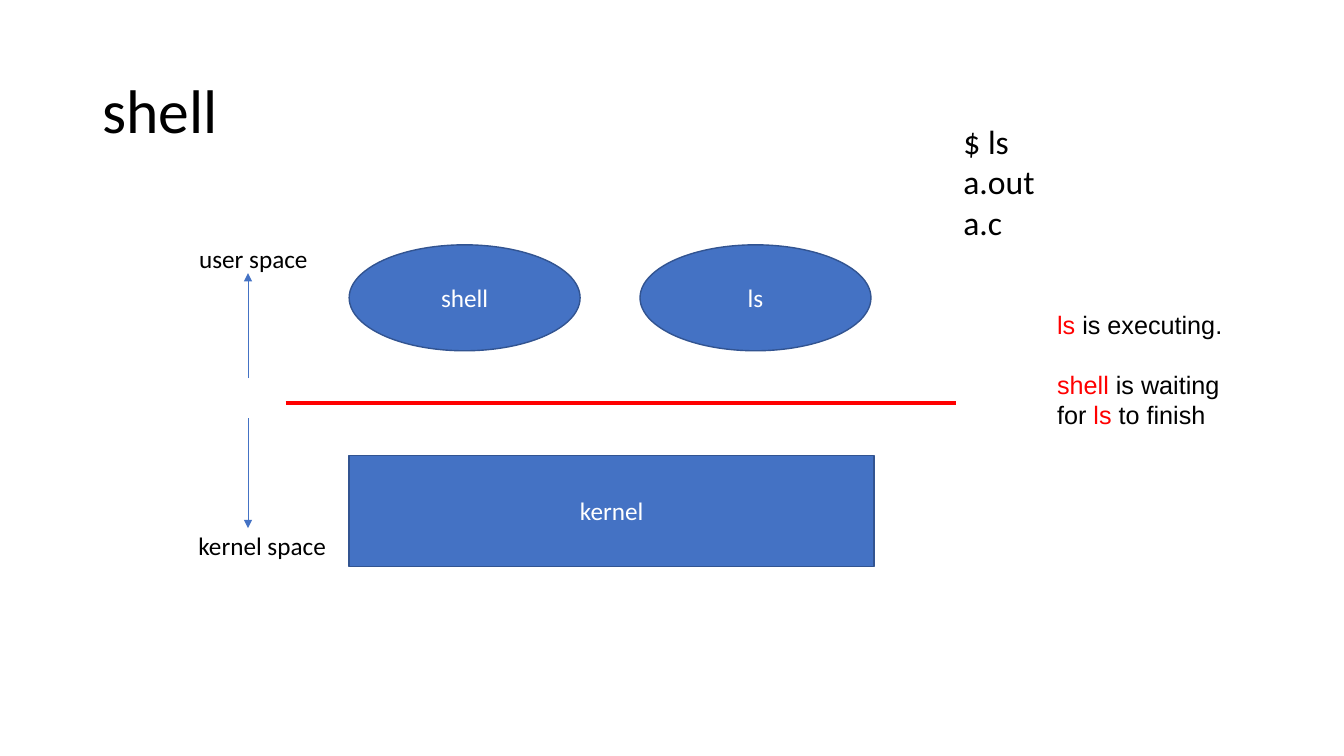
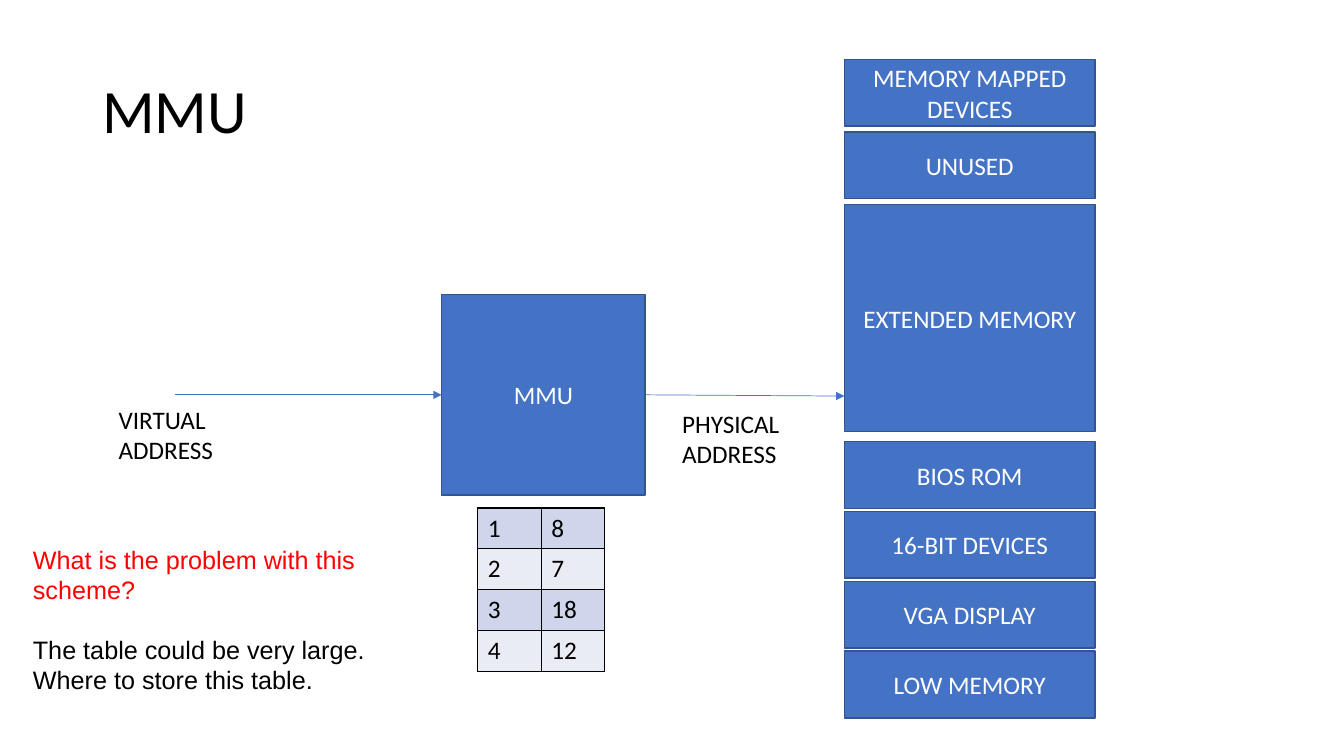
import pptx
import pptx.dml.color
import pptx.enum.shapes
import pptx.enum.text
import pptx.oxml
import pptx.oxml.ns
import pptx.util

Cm = pptx.util.Cm
Pt = pptx.util.Pt
ANCHOR = pptx.enum.text.MSO_ANCHOR
ALIGN = pptx.enum.text.PP_ALIGN
SHAPE = pptx.enum.shapes.MSO_SHAPE

# Shared style
BLUE, OUTLINE = "4472C4", "325491"
BLACK, WHITE, RED = "000000", "FFFFFF", "FF0000"
BAND_FILLS = ("CFD5EA", "E9EBF5")
FONT, NOTE_FONT = "Calibri", "Arial"
BODY_SIZE = 18
LINE_GAP = 21  # one empty body line, in points


def color(hex_value):
    return pptx.dml.color.RGBColor.from_string(hex_value)


def add_run(paragraph, text, ink=BLACK, size=BODY_SIZE, font=FONT):
    run = paragraph.add_run()
    run.text = text
    run.font.name = font
    run.font.size = Pt(size)
    run.font.color.rgb = color(ink)


def add_text(slide, left, top, width, height, paragraphs, size=BODY_SIZE,
             font=FONT, gap=0):
    """Add a text box; each paragraph is a list of (text, colour) runs."""
    frame = slide.shapes.add_textbox(
        Cm(left), Cm(top), Cm(width), Cm(height)).text_frame
    frame.word_wrap = True
    for index, runs in enumerate(paragraphs):
        paragraph = frame.add_paragraph() if index else frame.paragraphs[0]
        if index and gap:
            paragraph.space_before = Pt(gap)
        for text, ink in runs:
            add_run(paragraph, text, ink, size, font)
    return frame


def add_label(slide, left, top, width, *lines, size=BODY_SIZE):
    height = 0.25 + 0.043 * size * len(lines)
    add_text(slide, left, top, width, height,
             [[(line, BLACK)] for line in lines], size)


def add_titled_slide(deck, title):
    slide = deck.slides.add_slide(deck.slide_layouts[6])
    frame = add_text(slide, 2.33, 1.02, 29.21, 3.68, [[(title, BLACK)]], 44)
    frame.vertical_anchor = ANCHOR.MIDDLE
    frame.paragraphs[0].line_spacing = 0.9
    return slide


def add_block(slide, left, top, width, height, text, kind=SHAPE.RECTANGLE):
    block = slide.shapes.add_shape(
        kind, Cm(left), Cm(top), Cm(width), Cm(height))
    block.shadow.inherit = False
    block.fill.solid()
    block.fill.fore_color.rgb = color(BLUE)
    block.line.color.rgb = color(OUTLINE)
    block.line.width = Pt(1)
    frame = block.text_frame
    frame.word_wrap = True
    frame.vertical_anchor = ANCHOR.MIDDLE
    frame.paragraphs[0].alignment = ALIGN.CENTER
    add_run(frame.paragraphs[0], text, WHITE)
    return block


def add_line(slide, start, end, ink=BLUE, weight=0.5, arrow=True):
    line = slide.shapes.add_connector(
        pptx.enum.shapes.MSO_CONNECTOR.STRAIGHT,
        Cm(start[0]), Cm(start[1]), Cm(end[0]), Cm(end[1]))
    line.line.color.rgb = color(ink)
    line.line.width = Pt(weight)
    if arrow:
        outline = line.line._get_or_add_ln()
        outline.append(pptx.oxml.parse_xml(
            f'<a:tailEnd {pptx.oxml.ns.nsdecls("a")} type="triangle"/>'))
    line._element.spPr.append(pptx.oxml.parse_xml(
        f'<a:effectLst {pptx.oxml.ns.nsdecls("a")}/>'))
    return line


def add_cell_borders(cell):
    properties = cell._tc.get_or_add_tcPr()
    for side in "LRTB":
        properties.append(pptx.oxml.parse_xml(
            f'<a:ln{side} {pptx.oxml.ns.nsdecls("a")} w="{Pt(1)}">'
            f'<a:solidFill><a:srgbClr val="{BLACK}"/></a:solidFill>'
            f'</a:ln{side}>'))


def add_banded_table(slide, left, top, column_width, row_height, rows):
    table = slide.shapes.add_table(
        len(rows), len(rows[0]), Cm(left), Cm(top),
        Cm(column_width * len(rows[0])), Cm(row_height * len(rows))).table
    table.first_row = False
    for r, values in enumerate(rows):
        for c, value in enumerate(values):
            cell = table.cell(r, c)
            add_cell_borders(cell)
            cell.fill.solid()
            cell.fill.fore_color.rgb = color(BAND_FILLS[r % 2])
            add_run(cell.text_frame.paragraphs[0], str(value))


def build_shell_slide(deck):
    slide = add_titled_slide(deck, "shell")

    # Processes above the boundary, kernel below
    add_line(slide, (7.2, 10.16), (24.1, 10.16), RED, 3, arrow=False)
    for left, process in ((8.8, "shell"), (16.13, "ls")):
        add_block(slide, left, 6.17, 5.82, 2.67, process, SHAPE.OVAL)
    add_block(slide, 8.8, 11.48, 13.23, 2.79, "kernel")

    # The two spaces
    add_line(slide, (6.25, 10.54), (6.25, 13.31))
    add_line(slide, (6.25, 9.53), (6.25, 6.88))
    add_label(slide, 4.77, 6, 5.18, "user space")
    add_label(slide, 4.75, 13.24, 5.18, "kernel space")

    # Terminal session and its explanation
    add_label(slide, 24.03, 2.92, 6.73, "$ ls", "a.out", "a.c", size=24)
    add_text(slide, 26.39, 7.67, 5.05, 3.35, [
        [("ls", RED), (" is executing.", BLACK)],
        [("shell", RED), (" is waiting for ", BLACK), ("ls ", RED),
         ("to finish", BLACK)],
    ], font=NOTE_FONT, gap=LINE_GAP)


def build_mmu_slide(deck):
    slide = add_titled_slide(deck, "MMU")

    # Address translation
    mmu = add_block(slide, 11.13, 7.42, 5.13, 5.06, "MMU")
    virtual_address = add_line(slide, (4.4, 9.95), (11.13, 9.95))
    virtual_address.end_connect(mmu, 1)
    physical_address = add_line(slide, (16.26, 9.95), (21.28, 9.98))
    physical_address.begin_connect(mmu, 3)
    add_label(slide, 2.74, 10.06, 5.56, "VIRTUAL", "ADDRESS")
    add_label(slide, 16.94, 10.16, 5.56, "PHYSICAL", "ADDRESS")

    # Physical memory map, from high to low addresses
    region_height = 1.68
    memory_map = (
        (1.5, 1.83, ("MEMORY MAPPED DEVICES", "UNUSED")),
        (11.13, 1.76, ("BIOS ROM", "16-BIT DEVICES", "VGA DISPLAY",
                       "LOW MEMORY")),
    )
    for top, pitch, regions in memory_map:
        for index, region in enumerate(regions):
            add_block(slide, 21.28, top + index * pitch, 6.32,
                      region_height, region)
    add_block(slide, 21.28, 5.16, 6.32, 5.72, "EXTENDED MEMORY")

    # Translation table and the question about it
    add_banded_table(slide, 12.04, 12.8, 1.6, 1.03,
                     ((1, 8), (2, 7), (3, 18), (4, 12)))
    add_text(slide, 0.58, 13.59, 9.32, 4.11, [
        [("What is the problem with this scheme?", RED)],
        [("The table could be very large. Where to store this table.",
          BLACK)],
    ], font=NOTE_FONT, gap=LINE_GAP)


def main():
    deck = pptx.Presentation()
    deck.slide_width = Cm(33.87)
    deck.slide_height = Cm(19.05)
    build_shell_slide(deck)
    build_mmu_slide(deck)
    deck.save("out.pptx")


if __name__ == "__main__":
    main()
